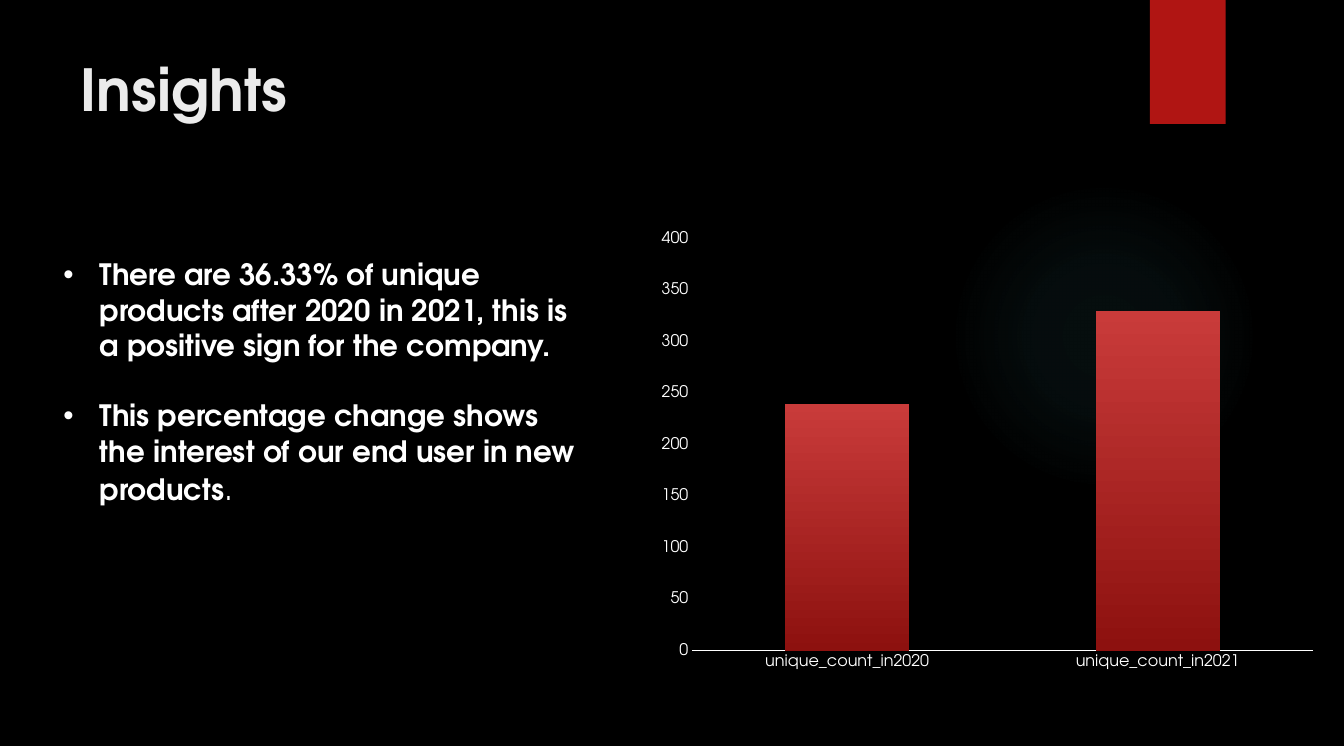
from lxml import etree
from pptx import Presentation
from pptx.chart.data import CategoryChartData
from pptx.dml.color import RGBColor
from pptx.enum.chart import XL_CHART_TYPE, XL_TICK_MARK
from pptx.enum.shapes import MSO_SHAPE
from pptx.enum.text import MSO_ANCHOR, PP_ALIGN
from pptx.oxml import parse_xml
from pptx.oxml.ns import nsdecls, qn
from pptx.util import Inches, Pt

STACKED = XL_CHART_TYPE.COLUMN_STACKED
NO_TICK = XL_TICK_MARK.NONE
ELLIPSE, RECTANGLE = MSO_SHAPE.OVAL, MSO_SHAPE.RECTANGLE
TOP, LEFT = MSO_ANCHOR.TOP, PP_ALIGN.LEFT

WIDTH, HEIGHT = Inches(13.98), Inches(7.76)
FONT = "TeX Gyre Adventor"
BLACK, WHITE, RED, TEAL = "000000", "FFFFFF", "B01513", "50B9C1"
TITLE_ONLY = 5


def color(value):
    return RGBColor.from_string(value)


def area(left, top, width, height):
    """Turn percentages of the slide into lengths."""
    return (int(WIDTH * left / 100), int(HEIGHT * top / 100),
            int(WIDTH * width / 100), int(HEIGHT * height / 100))


def place(shape, *shares):
    shape.left, shape.top, shape.width, shape.height = area(*shares)


def style_font(font, size, fill=WHITE, bold=False):
    font.name, font.size, font.bold = FONT, Pt(size), bold
    font.color.rgb = color(fill)


def add_text(para, text, **style):
    span = para.add_run()
    span.text = text
    style_font(span.font, **style)


def set_gradient(fill, properties, stops, direction):
    """Fill with stops of (position %, colour, opacity %)."""
    fill.background()
    marks = "".join(
        f'<a:gs pos="{position * 1000}"><a:srgbClr val="{value}">'
        f'<a:alpha val="{opacity * 1000}"/></a:srgbClr></a:gs>'
        for position, value, opacity in stops)
    gradient = parse_xml(f'<a:gradFill {nsdecls("a")} rotWithShape="1">'
                         f'<a:gsLst>{marks}</a:gsLst>{direction}</a:gradFill>')
    properties.replace(properties.find(qn("a:noFill")), gradient)


def add_plain_shape(page, kind, shares, fill=RED):
    shape = page.shapes.add_shape(kind, *area(*shares))
    shape.shadow.inherit = False
    shape.line.fill.background()
    shape.fill.solid()
    shape.fill.fore_color.rgb = color(fill)
    return shape


def add_glow(page, shares):
    glow = add_plain_shape(page, ELLIPSE, shares, fill=TEAL)
    center = ('<a:path path="circle"><a:fillToRect l="50000" t="50000" '
              'r="50000" b="50000"/></a:path>')
    set_gradient(glow.fill, glow._element.spPr,
                 [(0, TEAL, 7), (36, TEAL, 6), (69, TEAL, 0)], center)


def set_title(page, text, shares):
    title = page.shapes.title
    place(title, *shares)
    title.text_frame.vertical_anchor = TOP
    para = title.text_frame.paragraphs[0]
    para.alignment = LEFT
    add_text(para, text, size=43.4, fill="EBEBEB", bold=True)


def add_bullets(page, items, shares):
    """Each item is a list of (text, format) spans."""
    frame = page.shapes.add_textbox(*area(*shares)).text_frame
    frame.word_wrap = True
    for index, spans in enumerate(items):
        para = frame.paragraphs[0] if index == 0 else frame.add_paragraph()
        para.space_before = Pt(26.4 if index else 0)
        properties = para._p.get_or_add_pPr()
        properties.set("marL", str(Inches(0.38)))
        properties.set("indent", str(-Inches(0.38)))
        etree.SubElement(properties, qn("a:buFont")).set("typeface", "Arial")
        etree.SubElement(properties, qn("a:buChar")).set("char", "•")
        for text, style in spans:
            add_text(para, text, **style)


def set_plot_area(chart, **shares):
    """Fix the inner plot area as shares of the chart."""
    plot_area = chart._chartSpace.chart.plotArea
    for old in plot_area.findall(qn("c:layout")):
        plot_area.remove(old)
    sizes = "".join(f'<c:{key} val="{share}"/>' for key, share in shares.items())
    plot_area.insert(0, parse_xml(
        f'<c:layout {nsdecls("c")}><c:manualLayout><c:layoutTarget val="inner"/>'
        f'<c:xMode val="edge"/><c:yMode val="edge"/>{sizes}'
        '</c:manualLayout></c:layout>'))


def add_columns(page, categories, values, shares):
    data = CategoryChartData()
    data.categories = categories
    data.add_series("Series 1", values)
    chart = page.shapes.add_chart(STACKED, *area(*shares), data).chart
    chart.has_legend = chart.has_title = False
    style_font(chart.font, 10)
    set_plot_area(chart, x=0.065, y=0.035, w=0.915, h=0.904)

    # Axes
    for axis in (chart.category_axis, chart.value_axis):
        axis.major_tick_mark = axis.minor_tick_mark = NO_TICK
        axis.has_major_gridlines = False
        style_font(axis.tick_labels.font, 12)
    baseline = chart.category_axis.format.line
    baseline.color.rgb = color(WHITE)
    baseline.width = Pt(1)
    chart.value_axis.format.line.fill.background()
    chart.value_axis.minimum_scale = 0
    chart.value_axis.maximum_scale = 400
    chart.value_axis.major_unit = 50

    # Columns
    plot = chart.plots[0]
    plot.gap_width, plot.overlap = 150, 100
    plot.vary_by_categories = False
    series = plot.series[0]
    set_gradient(series.format.fill, series._element.get_or_add_spPr(),
                 [(0, "C93B3A", 100), (100, "8D110F", 100)],
                 '<a:lin ang="5400000" scaled="0"/>')


def main():
    deck = Presentation()
    deck.slide_width, deck.slide_height = WIDTH, HEIGHT
    page = deck.slides.add_slide(deck.slide_layouts[TITLE_ONLY])
    page.background.fill.solid()
    page.background.fill.fore_color.rgb = color(BLACK)

    # Decoration
    add_glow(page, (70.6, 24.48, 23.1, 41.11))
    add_plain_shape(page, RECTANGLE, (85.55, 0, 5.65, 16.62))

    # Content
    set_title(page, "Insights", (5.29, 6.57, 77.11, 13.66))
    add_columns(page, ["unique_count_in2020", "unique_count_in2021"],
                [240, 330], (48.21, 29.9, 50.5, 61.08))
    strong = {"size": 22, "bold": True}
    add_bullets(page, [
        [("There are 36.33% of unique products after 2020 in 2021, "
          "this is a positive sign for the company.", strong)],
        [("This percentage change shows the interest of our end user "
          "in new products", strong), (".", {"size": 24})],
    ], (4.01, 33.76, 39.99, 35.18))

    deck.save("out.pptx")


if __name__ == "__main__":
    main()
